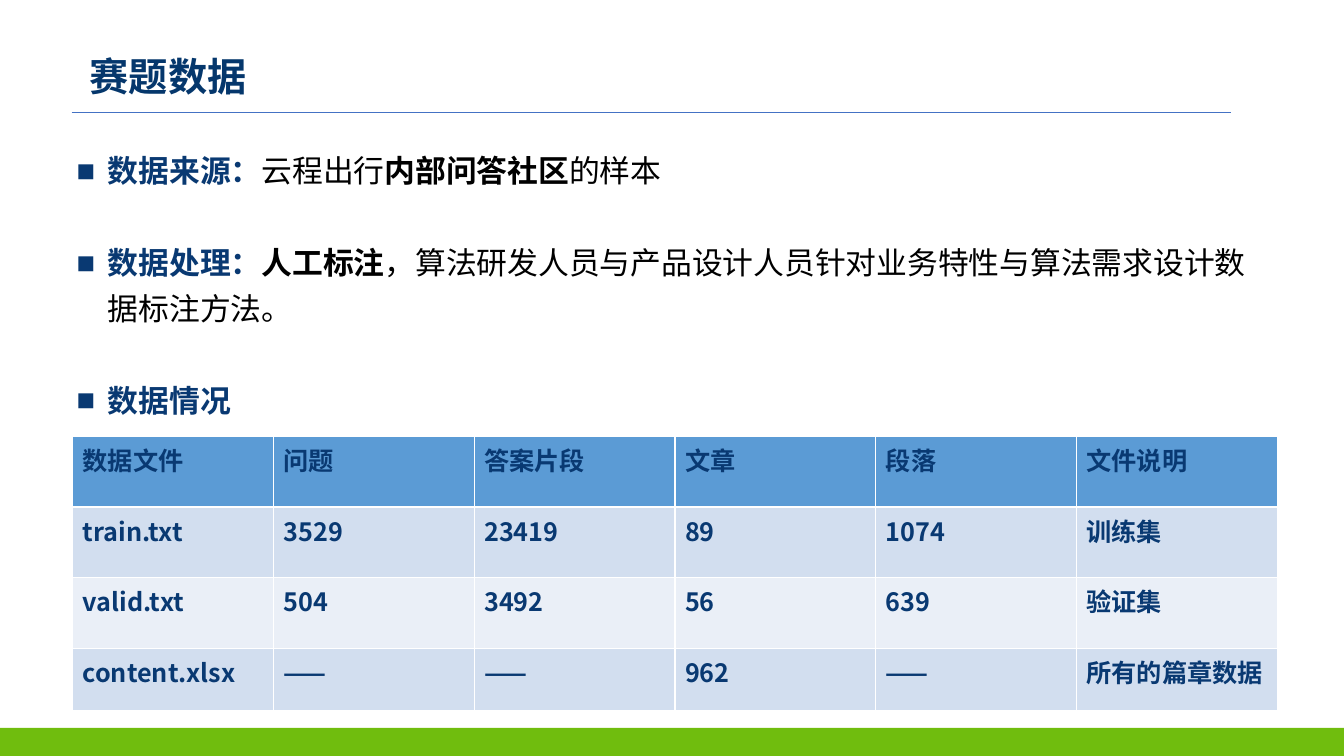
from dataclasses import dataclass

from lxml.etree import SubElement
from pptx import Presentation
from pptx.dml.color import RGBColor
from pptx.enum.shapes import MSO_CONNECTOR, MSO_SHAPE
from pptx.enum.text import MSO_ANCHOR, MSO_AUTO_SIZE, PP_ALIGN
from pptx.oxml.ns import qn
from pptx.util import Inches, Pt


@dataclass(frozen=True)
class Theme:
    font: str = "Noto Sans CJK SC"
    title: str = "05376C"
    navy: str = "093972"
    black: str = "000000"
    white: str = "FFFFFF"
    rule: str = "4472C4"
    green: str = "70BD0E"
    head: str = "5B9BD5"
    bands: tuple = ("D2DEEF", "EAEFF7")
    big: float = 28
    text: float = 22
    cell: float = 18
    lead: float = 32.8


THEME = Theme()

# Each item holds runs of (text, colour, bold).
ITEMS = [
    [("数据来源：", THEME.navy, True), ("云程出行", THEME.black, False),
     ("内部问答社区", THEME.black, True), ("的样本", THEME.black, False)],
    [("数据处理：", THEME.navy, True), ("人工标注", THEME.black, True),
     ("，算法研发人员与产品设计人员针对业务特性与算法需求设计数据标注方法。",
      THEME.black, False)],
    [("数据情况", THEME.navy, True)],
]

ROWS = [
    ["数据文件", "问题", "答案片段", "文章", "段落", "文件说明"],
    ["train.txt", "3529", "23419", "89", "1074", "训练集"],
    ["valid.txt", "504", "3492", "56", "639", "验证集"],
    ["content.xlsx", "——", "——", "962", "——", "所有的篇章数据"],
]


def apply(item, values):
    for name, value in values.items():
        setattr(item, name, value)


def place(shape, *box):
    names = ("left", "top", "width", "height")
    apply(shape, dict(zip(names, map(Inches, box))))


def paint(fill, color):
    fill.solid()
    fill.fore_color.rgb = RGBColor.from_string(color)


def write(para, text, size, color, bold=True):
    run = para.add_run()
    run.text = text
    apply(run.font, {"name": THEME.font, "size": Pt(size), "bold": bold})
    run.font.color.rgb = RGBColor.from_string(color)
    SubElement(run.font._element, qn("a:ea"), typeface=THEME.font)


def bullet(para):
    """Give a paragraph a navy square and a hanging indent."""
    props = para._p.get_or_add_pPr()
    apply_indent = {"marL": Inches(0.31), "indent": Inches(-0.31)}
    for name, value in apply_indent.items():
        props.set(name, str(value))
    tint = SubElement(props, qn("a:buClr"))
    SubElement(tint, qn("a:srgbClr"), val=THEME.navy)
    SubElement(props, qn("a:buFont"), typeface="Arial")
    SubElement(props, qn("a:buChar"), char="■")


def add_title(slide):
    title = slide.shapes.title
    place(title, 0.79, 0.47, 5.7, 0.57)
    paint(title.fill, THEME.white)
    frame = title.text_frame
    apply(frame, {"vertical_anchor": MSO_ANCHOR.MIDDLE,
                  "auto_size": MSO_AUTO_SIZE.NONE})
    para = frame.paragraphs[0]
    para.alignment = PP_ALIGN.LEFT
    write(para, "赛题数据", THEME.big, THEME.title)


def add_list(slide):
    body = slide.placeholders[1]
    place(body, 0.66, 1.37, 11.8, 2.9)
    frame = body.text_frame
    apply(frame, {"word_wrap": True, "auto_size": MSO_AUTO_SIZE.NONE,
                  "vertical_anchor": MSO_ANCHOR.TOP})
    for index, runs in enumerate(ITEMS):
        para = frame.add_paragraph() if index else frame.paragraphs[0]
        bullet(para)
        apply(para, {"line_spacing": Pt(THEME.lead), "space_after": Pt(0),
                     "space_before": Pt(THEME.lead if index else 0)})
        for text, color, bold in runs:
            write(para, text, THEME.text, color, bold)


def add_rule(slide):
    ends = map(Inches, (0.71, 1.11, 12.21, 1.11))
    rule = slide.shapes.add_connector(MSO_CONNECTOR.STRAIGHT, *ends)
    rule.line.width = Pt(0.5)
    rule.line.color.rgb = RGBColor.from_string(THEME.rule)
    SubElement(rule._element.spPr, qn("a:effectLst"))


def add_bar(slide):
    box = map(Inches, (0, 7.22, 13.33, 0.29))
    bar = slide.shapes.add_shape(MSO_SHAPE.RECTANGLE, *box)
    bar.shadow.inherit = False
    paint(bar.fill, THEME.green)
    bar.line.fill.background()


def add_grid(slide):
    box = map(Inches, (0.72, 4.33, 11.95, 2.72))
    grid = slide.shapes.add_table(len(ROWS), len(ROWS[0]), *box).table
    for row, high in zip(grid.rows, (0.7, 0.7, 0.7, 0.62)):
        row.height = Inches(high)
    for r, texts in enumerate(ROWS):
        color = THEME.bands[(r - 1) % 2] if r else THEME.head
        for c, text in enumerate(texts):
            cell = grid.cell(r, c)
            paint(cell.fill, color)
            para = cell.text_frame.paragraphs[0]
            write(para, text, THEME.cell, THEME.navy)


def main():
    deck = Presentation()
    apply(deck, {"slide_width": Inches(13.33), "slide_height": Inches(7.5)})
    slide = deck.slides.add_slide(deck.slide_layouts[1])
    for add in (add_rule, add_bar, add_title, add_list, add_grid):
        add(slide)
    deck.save("out.pptx")


if __name__ == "__main__":
    main()
